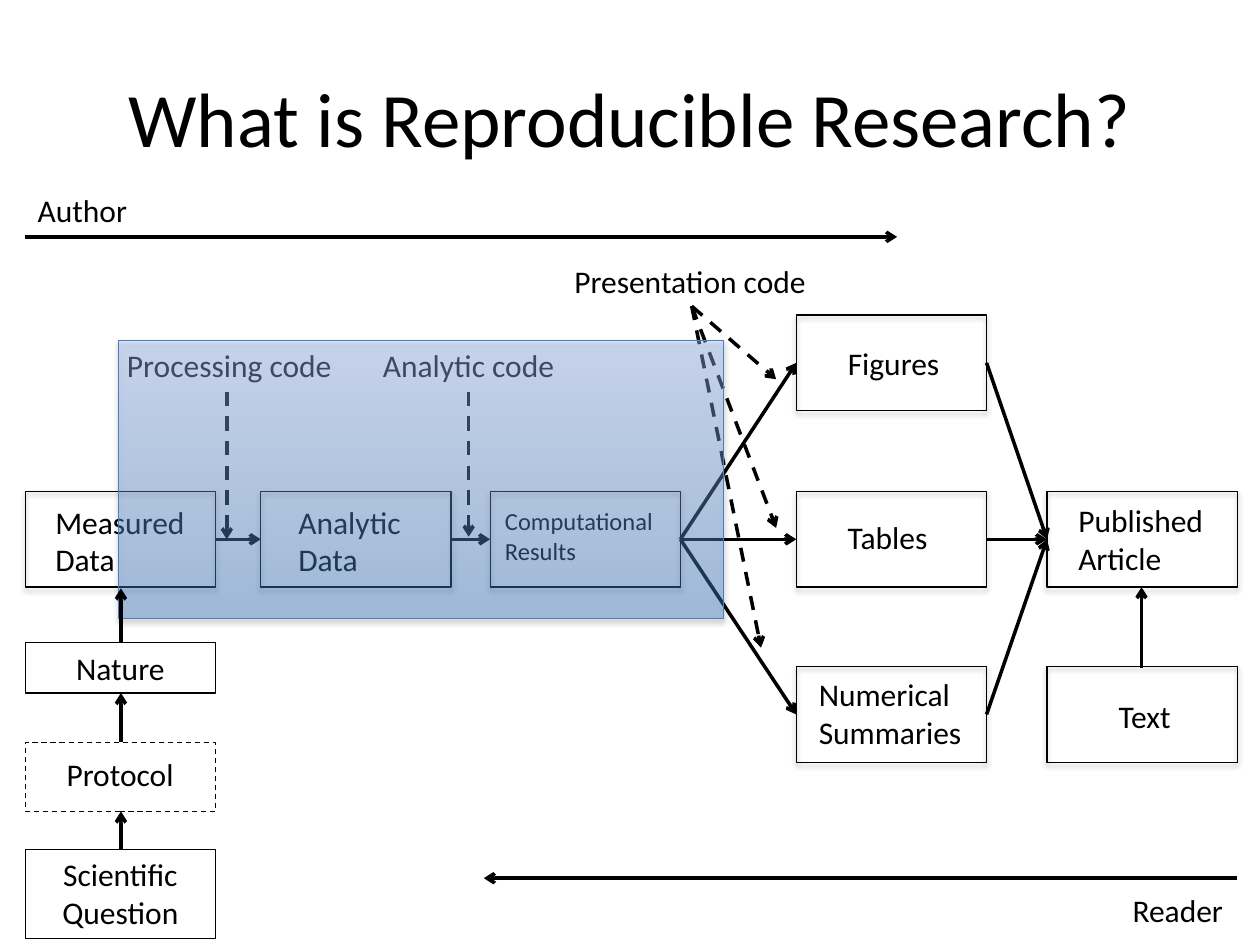
from pptx import Presentation
from pptx.dml.color import RGBColor
from pptx.enum.dml import MSO_LINE
from pptx.enum.shapes import MSO_CONNECTOR, MSO_SHAPE
from pptx.enum.text import MSO_ANCHOR, MSO_AUTO_SIZE, PP_ALIGN
from pptx.oxml import parse_xml
from pptx.oxml.ns import nsdecls, qn
from pptx.util import Inches, Pt
from lxml import etree

RECTANGLE = MSO_SHAPE.RECTANGLE
STRAIGHT = MSO_CONNECTOR.STRAIGHT
DASH = MSO_LINE.DASH
FONT = "Calibri"
COLORS = {"ink": "000000", "edge": "4B7EBC", "bottom": "3F80CE", "top": "A4C4FF"}
RGB = {name: RGBColor.from_string(value) for name, value in COLORS.items()}
SHADOW = (
    f'<a:effectLst {nsdecls("a")}><a:outerShdw blurRad="39370" dist="22860" '
    f'dir="5400000" rotWithShape="0"><a:srgbClr val="{COLORS["ink"]}">'
    '<a:alpha val="35000"/></a:srgbClr></a:outerShdw></a:effectLst>'
)

deck = Presentation()
deck.slide_width, deck.slide_height = Inches(10), Inches(7.5)
page = deck.slides.add_slide(deck.slide_layouts[5])


def write(box, text, size=18, align=PP_ALIGN.LEFT, wrap=True,
          anchor=MSO_ANCHOR.TOP, grow=True):
    frame = box.text_frame
    frame.word_wrap = wrap
    frame.vertical_anchor = anchor
    frame.auto_size = MSO_AUTO_SIZE.SHAPE_TO_FIT_TEXT if grow else MSO_AUTO_SIZE.NONE
    para = frame.paragraphs[0]
    para.alignment = align
    span = para.add_run()
    span.text = text
    span.font.name, span.font.size = FONT, Pt(size)
    span.font.color.rgb = RGB["ink"]


def add_box(left, top, width, height, shadow=True, dash=None, edge="ink"):
    """Add an unfilled, outlined rectangle, by default with a soft shadow."""
    box = page.shapes.add_shape(
        RECTANGLE, Inches(left), Inches(top), Inches(width), Inches(height))
    box.fill.background()
    box.line.color.rgb = RGB[edge]
    box.line.width = Pt(0.75)
    if dash:
        box.line.dash_style = dash
    if shadow:
        box._element.spPr.append(parse_xml(SHADOW))
    else:
        box.shadow.inherit = False
    return box


title = page.shapes.title
title.left, title.top = Inches(0.5), Inches(0.3)
title.width, title.height = Inches(9), Inches(1.25)
write(title, "What is Reproducible Research?", size=44, align=PP_ALIGN.CENTER,
      anchor=MSO_ANCHOR.MIDDLE, grow=False)

# Stages of the pipeline, four columns and three rows
BOX_WIDTH, BOX_HEIGHT = 1.51, 0.76
MEASURED, ANALYTIC, COMPUTED, OUTPUT, ARTICLE = 0.2, 2.07, 3.89, 6.32, 8.31
UPPER, MIDDLE, LOWER = 2.5, 3.9, 5.29
for left, top in [(MEASURED, MIDDLE), (ANALYTIC, MIDDLE), (COMPUTED, MIDDLE),
                  (OUTPUT, UPPER), (OUTPUT, MIDDLE), (OUTPUT, LOWER),
                  (ARTICLE, MIDDLE), (ARTICLE, LOWER)]:
    add_box(left, top, BOX_WIDTH, BOX_HEIGHT)

# Text, left, top, width, height, size, wrap
labels = [
    ("Measured Data", 0.34, 3.94, 1.32, 0.71, 18, True),
    ("Analytic Data", 2.27, 3.94, 1.16, 0.71, 18, True),
    ("Computational Results", 3.91, 3.97, 1.46, 0.57, 14, True),
    ("Figures", 6.63, 2.68, 1.05, 0.4, 18, True),
    ("Tables", 6.63, 4.06, 0.94, 0.4, 18, True),
    ("Numerical Summaries", 6.4, 5.31, 1.46, 0.71, 18, True),
    ("Published Article", 8.46, 3.93, 1.26, 0.71, 18, True),
    ("Text", 8.78, 5.48, 0.84, 0.4, 18, True),
    ("Author", 0.2, 1.47, 0.92, 0.4, 18, False),
    ("Reader", 8.89, 7.02, 0.93, 0.4, 18, False),
    ("Processing code", 0.91, 2.7, 1.84, 0.4, 18, False),
    ("Analytic code", 2.94, 2.7, 1.57, 0.4, 18, False),
    ("Presentation code", 4.46, 2.03, 2.06, 0.4, 18, False),
    ("Protocol", 0.43, 5.94, 1.07, 0.4, 18, False),
]
for text, left, top, width, height, size, wrap in labels:
    label = page.shapes.add_textbox(
        Inches(left), Inches(top), Inches(width), Inches(height))
    write(label, text, size=size, wrap=wrap)

# Arrows: start, end
row_centers = [2.88, 4.28, 5.67]
flow = [((1.71, 4.28), (2.07, 4.28)), ((3.58, 4.28), (3.89, 4.28))]
for center in row_centers:
    flow.append(((5.4, 4.28), (OUTPUT, center)))
    flow.append(((7.83, center), (ARTICLE, 4.28)))
flow += [
    ((0.2, 1.88), (7.12, 1.88)),
    ((9.82, 6.97), (3.84, 6.97)),
    ((9.06, 5.3), (9.06, 4.66)),
]
code = [((1.8, 3.11), (1.8, 4.28)), ((3.72, 3.11), (3.72, 4.26))]
code += [((5.49, 2.43), end) for end in [(6.16, 3.01), (6.16, 4.19), (6.04, 5.14)]]
origins = [((0.96, start), (0.96, end))
           for start, end in [(6.74, 6.44), (5.89, 5.5), (5.1, 4.67)]]

for arrows, dash in [(flow, None), (code, DASH), (origins, None)]:
    if arrows is origins:
        # The translucent research area covers the flow but not the origins
        area = add_box(0.94, 2.7, 4.8, 2.21, edge="edge")
        area.fill.gradient()
        area.fill.gradient_angle = 90
        for stop, name in zip(area.fill.gradient_stops, ["bottom", "top"]):
            stop.color.rgb = RGB[name]
        gradient = area._element.spPr.find(qn("a:gradFill"))
        for color in gradient.iter(qn("a:srgbClr")):
            etree.SubElement(color, qn("a:alpha")).set("val", "39000")
    for start, end in arrows:
        arrow = page.shapes.add_connector(
            STRAIGHT, *[Inches(value) for value in start + end])
        arrow.line.color.rgb = RGB["ink"]
        arrow.line.width = Pt(2)
        if dash:
            arrow.line.dash_style = dash
        etree.SubElement(arrow.line._get_or_add_ln(), qn("a:tailEnd")).set("type", "arrow")
        etree.SubElement(arrow._element.spPr, qn("a:effectLst"))

# Where the measured data come from
add_box(MEASURED, 5.89, BOX_WIDTH, 0.55, shadow=False, dash=DASH)
for text, top, height in [("Nature", 5.1, 0.4), ("Scientific Question", 6.74, 0.71)]:
    box = add_box(MEASURED, top, BOX_WIDTH, height, shadow=False)
    write(box, text, align=PP_ALIGN.CENTER)

deck.save("out.pptx")
